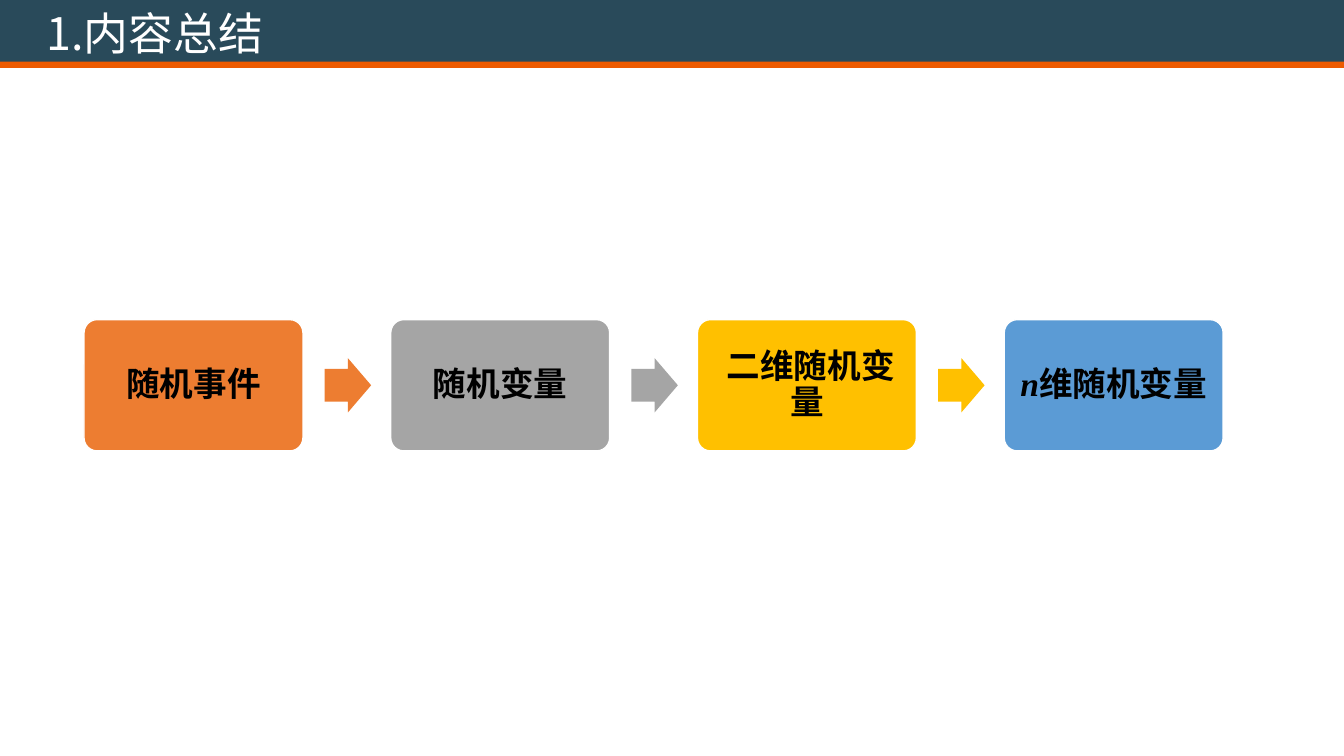
from dataclasses import dataclass

from lxml import etree
from pptx import Presentation
from pptx.dml.color import RGBColor
from pptx.enum.shapes import MSO_SHAPE
from pptx.enum.text import MSO_ANCHOR, PP_ALIGN
from pptx.oxml.ns import qn
from pptx.util import Pt

RECT = MSO_SHAPE.RECTANGLE
ROUNDED = MSO_SHAPE.ROUNDED_RECTANGLE
ARROW = MSO_SHAPE.RIGHT_ARROW
MIDDLE = MSO_ANCHOR.MIDDLE
LEFT, CENTER = PP_ALIGN.LEFT, PP_ALIGN.CENTER

CJK_FONT = "Noto Sans CJK SC"
LATIN_FONT = "Times New Roman"

SLIDE_W, SLIDE_H = 960, 540
STEP_LEFT, STEP_PITCH = 60, 219.1
STEP_W, STEP_H = 156.4, 93.8
STEP_MIDDLE = 275.2
ARROW_OFFSET, ARROW_W, ARROW_H = 171.9, 33.2, 38.8


@dataclass
class Step:
    text: str
    color: str
    variable: str = ""


STEPS = [
    Step("随机事件", "ED7D31"),
    Step("随机变量", "A5A5A5"),
    Step(" 二维随机变量", "FFC000"),
    Step("维随机变量", "5B9BD5", variable="n"),
]


def rgb(value: str) -> RGBColor:
    return RGBColor.from_string(value)


def add_block(slide, kind, left: float, top: float, width: float,
              height: float, fill: str, line: str = "", adj: tuple = ()):
    """Add a filled preset shape without shadow; lengths in points."""
    sp = slide.shapes.add_shape(kind, Pt(left), Pt(top), Pt(width), Pt(height))
    sp.shadow.inherit = False
    sp.fill.solid()
    sp.fill.fore_color.rgb = rgb(fill)
    if line:
        sp.line.color.rgb = rgb(line)
        sp.line.width = Pt(1)
    else:
        sp.line.fill.background()
    for i, value in enumerate(adj):
        sp.adjustments[i] = value
    return sp


def add_text(p, text: str, *, size: float, color: str, font: str,
             bold: bool = False, italic: bool = False) -> None:
    r = p.add_run()
    r.text = text
    r.font.size = Pt(size)
    r.font.name = font
    r.font.bold = bold
    r.font.italic = italic
    r.font.color.rgb = rgb(color)
    east_asian = etree.SubElement(r.font._element, qn("a:ea"))
    east_asian.set("typeface", CJK_FONT)


def set_frame(tf, align, margin_x: float, margin_y: float, wrap: bool):
    """Format a text frame and return its first paragraph."""
    tf.word_wrap = wrap
    tf.vertical_anchor = MIDDLE
    tf.margin_left = tf.margin_right = Pt(margin_x)
    tf.margin_top = tf.margin_bottom = Pt(margin_y)
    p = tf.paragraphs[0]
    p.alignment = align
    return p


def add_header(slide, text: str) -> None:
    add_block(slide, RECT, 0, -2.2, SLIDE_W, 49, "294A5A")
    add_block(slide, RECT, 0, 44.1, SLIDE_W, 4.4, "ED5A00")
    title = slide.shapes.title
    title.left, title.top, title.width, title.height = (
        Pt(26), Pt(0), Pt(209.5), Pt(46))
    p = set_frame(title.text_frame, LEFT, 7.2, 3.6, wrap=False)
    p.line_spacing = 1.0
    p.space_before = Pt(0)
    add_text(p, text, size=32, color="FFFFFF", font=CJK_FONT)
    slide.shapes._spTree.append(title._element)  # in front of the bars


def add_step(slide, step: Step, left: float) -> None:
    sp = add_block(slide, ROUNDED, left, STEP_MIDDLE - STEP_H / 2, STEP_W,
                   STEP_H, step.color, line="FFFFFF", adj=(0.1,))
    p = set_frame(sp.text_frame, CENTER, 7.2, 7.2, wrap=True)
    p.line_spacing = 0.9
    style = dict(size=24, color="000000", font=LATIN_FONT, bold=True)
    if step.variable:
        add_text(p, step.variable, italic=True, **style)
    add_text(p, step.text, **style)


def main() -> None:
    prs = Presentation()
    prs.slide_width, prs.slide_height = Pt(SLIDE_W), Pt(SLIDE_H)
    slide = prs.slides.add_slide(prs.slide_layouts[5])
    add_header(slide, "1.内容总结")
    for i, step in enumerate(STEPS):
        left = STEP_LEFT + i * STEP_PITCH
        add_step(slide, step, left)
        if i < len(STEPS) - 1:
            add_block(slide, ARROW, left + ARROW_OFFSET,
                      STEP_MIDDLE - ARROW_H / 2, ARROW_W, ARROW_H,
                      step.color, adj=(0.6, 0.5))
    prs.save("out.pptx")


if __name__ == "__main__":
    main()
